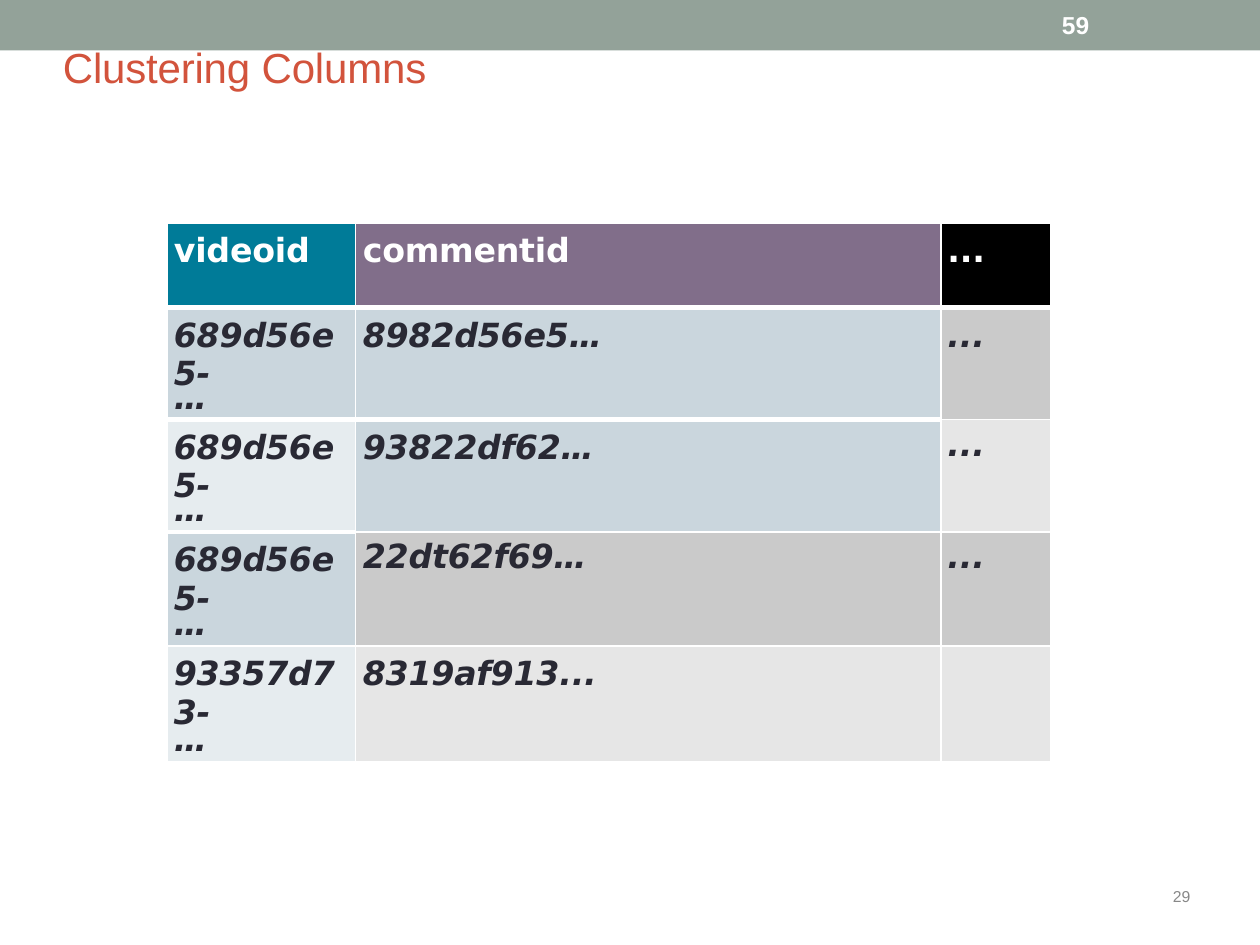
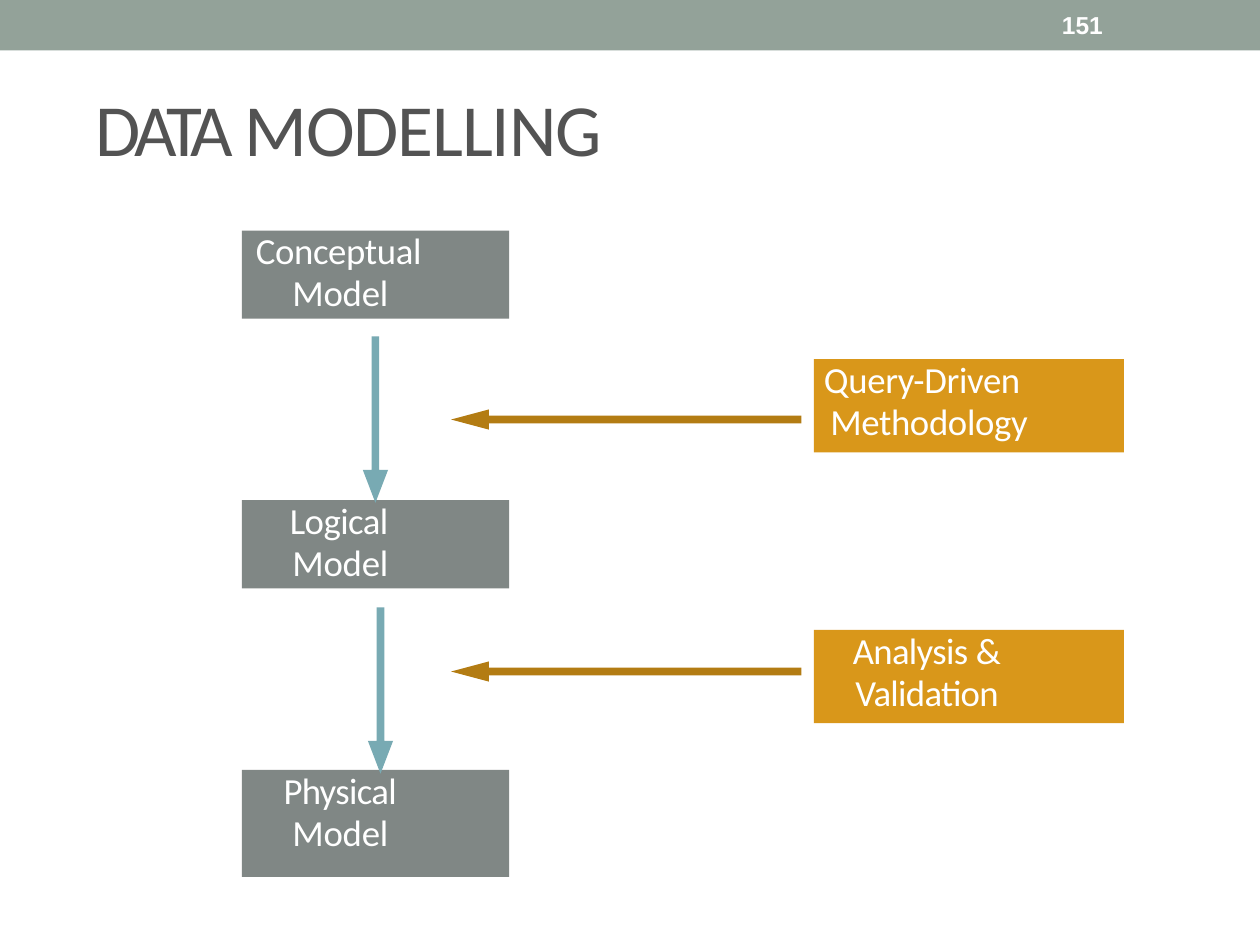
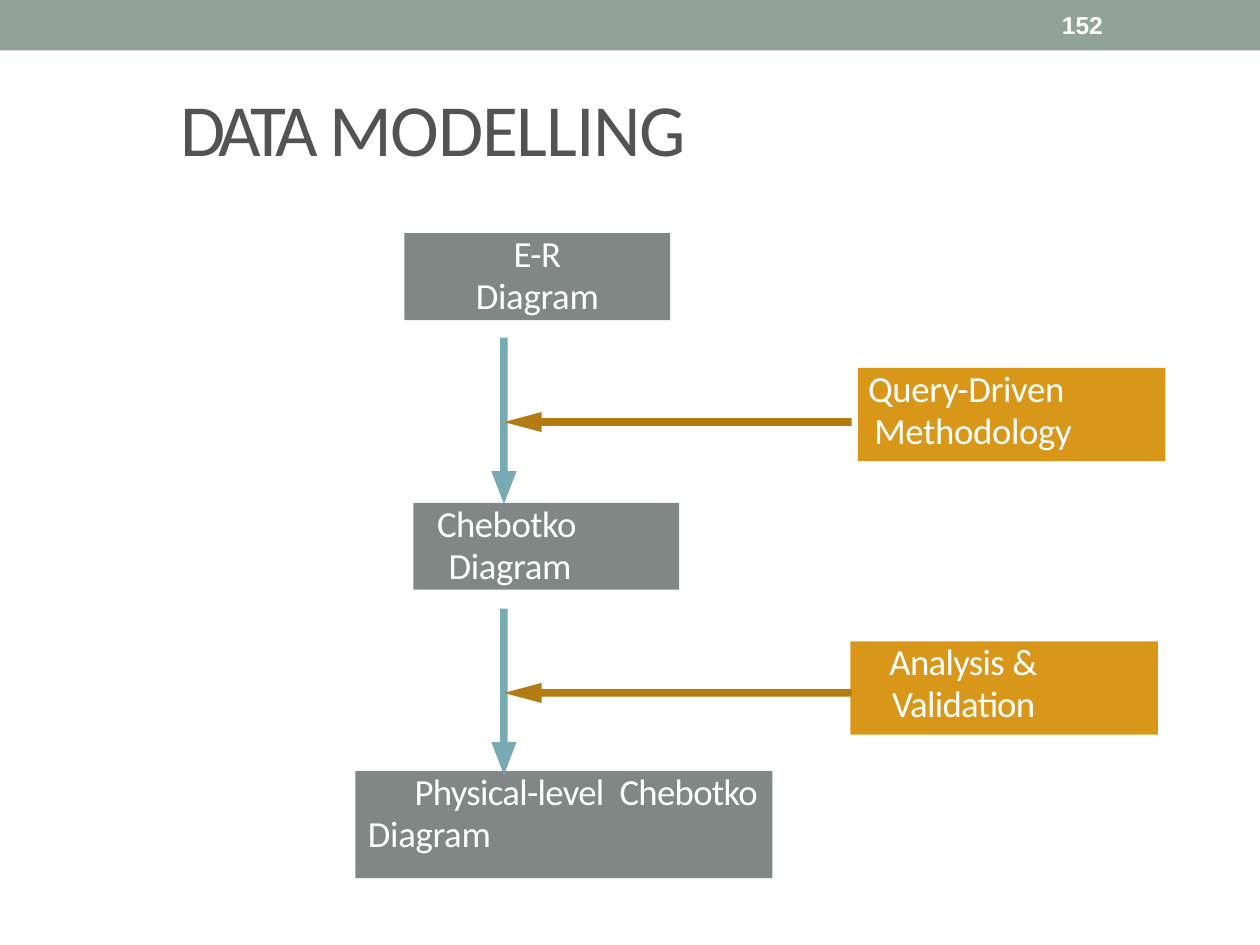
from lxml import etree
from pptx import Presentation
from pptx.dml.color import RGBColor
from pptx.enum.shapes import MSO_SHAPE
from pptx.enum.text import MSO_ANCHOR, PP_ALIGN
from pptx.oxml.ns import qn
from pptx.util import Inches, Pt

RECTANGLE = MSO_SHAPE.RECTANGLE
TOP, MIDDLE = MSO_ANCHOR.TOP, MSO_ANCHOR.MIDDLE
LEFT, CENTER = PP_ALIGN.LEFT, PP_ALIGN.CENTER

WHITE = "FFFFFF"
BAND = "93A299"
TITLE_RED = "D2533C"
TITLE_GREY = "535353"
PAGE_GREY = "888888"
MODEL_GREY = "808785"
METHOD_ORANGE = "D9971A"
FLOW_BLUE = "78AAB3"
METHOD_BROWN = "B37C13"
CELL_INK = "292934"

COLUMN_WIDTHS = [1.49, 4.65, 0.87]
ROW_HEIGHTS = [0.67, 0.65, 0.65, 0.67, 0.69]
ELLIPSIS_PITCH = [None, 13.5, 13.5, 14.5, 15.5]
CELL_TEXTS = [
    ["videoid", "commentid", "..."],
    ["689d56e5-", "8982d56e5…", "..."],
    ["689d56e5-", "93822df62…", "..."],
    ["689d56e5-", "22dt62f69…", "..."],
    ["93357d73-", "8319af913...", ""],
]
CELL_FILLS = [
    ["007B98", "816E8A", "000000"],
    ["CAD6DD", "CAD6DD", "CACACA"],
    ["E6ECEF", "CAD6DD", "E6E6E6"],
    ["CAD6DD", "CACACA", "CACACA"],
    ["E6ECEF", "E6E6E6", "E6E6E6"],
]

DATA_MODELLING = [[("DATA ", -3), ("MODELLING", -0.7)]]
MODEL = [("Model", -0.1)]
DIAGRAM = [("Diagram", -0.2)]
QUERY_DRIVEN = [[("Query-Driven", -0.2)], [("Methodology", -0.2)]]
VALIDATION = [[("Analysis ", -0.4), ("&", -0.1)], [("Validation", -0.4)]]


def color(value):
    """Turn a hex string into a colour."""
    return RGBColor.from_string(value)


def paint(shape, fill):
    """Give a shape a plain fill without line or shadow."""
    shape.shadow.inherit = False
    shape.fill.solid()
    shape.fill.fore_color.rgb = color(fill)
    shape.line.fill.background()


def style(paragraph, font, size, ink, bold=False, italic=False):
    """Set the font of a whole paragraph."""
    paragraph.font.name = font
    paragraph.font.size = Pt(size)
    paragraph.font.color.rgb = color(ink)
    paragraph.font.bold = bold
    paragraph.font.italic = italic


def indent(paragraph, margin, first=0):
    """Set the left margin and first-line indent of a paragraph."""
    properties = paragraph._p.get_or_add_pPr()
    properties.set("marL", str(Inches(margin)))
    properties.set("indent", str(Inches(first)))


def write(paragraph, lines):
    """Write lines of (text, letter spacing) spans into a paragraph."""
    for number, line in enumerate(lines):
        if number:
            paragraph.add_line_break()
        for text, spacing in line:
            span = paragraph.add_run()
            span.text = text
            span._r.get_or_add_rPr().set("spc", str(round(spacing * 100)))


def prepare_frame(shape, anchor=TOP, inset=0):
    """Set up a wrapping text frame and return its first paragraph."""
    frame = shape.text_frame
    frame.word_wrap = True
    frame.vertical_anchor = anchor
    frame.margin_left = frame.margin_right = Inches(inset)
    frame.margin_top = frame.margin_bottom = Inches(inset / 2)
    return frame.paragraphs[0]


def add_text(page, place, lines, font, size, ink,
             bold=False, anchor=TOP, inset=0, before=0):
    """Add a text box with one paragraph."""
    box = page.shapes.add_textbox(*map(Inches, place))
    paragraph = prepare_frame(box, anchor, inset)
    paragraph.space_before = Pt(before)
    style(paragraph, font, size, ink, bold)
    write(paragraph, lines)


def add_page(deck, number):
    """Add a blank slide with the top band and its number."""
    page = deck.slides.add_slide(deck.slide_layouts[6])
    band = page.shapes.add_shape(RECTANGLE, 0, 0, deck.slide_width, Inches(0.4))
    paint(band, BAND)
    add_text(page, (8.33, 0.02, 1.17, 0.36), [[(number, 0)]], "Arial", 14,
             WHITE, bold=True, anchor=MIDDLE, inset=0.1)
    return page


def add_modelling_title(page, left):
    """Add the large title of a modelling slide."""
    add_text(page, (left, 0.66, 6, 0.71), DATA_MODELLING, "Calibri", 42,
             TITLE_GREY, before=1)


def add_label_box(page, place, fill, lines, margin=0, first=0, before=3, align=LEFT):
    """Add a filled rectangle with a two-line label."""
    box = page.shapes.add_shape(RECTANGLE, *map(Inches, place))
    paint(box, fill)
    paragraph = prepare_frame(box)
    paragraph.alignment = align
    paragraph.line_spacing = Pt(23.9)
    paragraph.space_before = Pt(before)
    indent(paragraph, margin, first)
    style(paragraph, "Calibri", 21, WHITE)
    write(paragraph, lines)


def add_method_boxes(page, width, query_place, validation_place):
    """Add the two orange boxes that steer the flow."""
    add_label_box(page, (*query_place, width, 0.74), METHOD_ORANGE,
                  QUERY_DRIVEN, 0.13, -0.05, 9)
    add_label_box(page, (*validation_place, width, 0.74), METHOD_ORANGE,
                  VALIDATION, 0.33, -0.02, 9)


def add_outline(page, points, fill):
    """Add a closed freeform through points given in inches."""
    start, *rest = [(Inches(x), Inches(y)) for x, y in points]
    builder = page.shapes.build_freeform(*start)
    builder.add_line_segments(rest, close=True)
    paint(builder.convert_to_shape(), fill)


def arrow_profile(length, head, half_head, half_shaft):
    """Return (along, across) points of an arrow, starting at its tip."""
    side = [(head, half_head), (head, half_shaft), (length, half_shaft)]
    return [(0, 0), *side, *[(along, -across) for along, across in reversed(side)]]


def add_down_arrow(page, x, y):
    """Add a flow arrow pointing down to (x, y)."""
    profile = arrow_profile(1.32, 0.26, 0.1, 0.03)
    add_outline(page, [(x + across, y - along) for along, across in profile], FLOW_BLUE)


def add_left_arrow(page, x, y, length):
    """Add a method arrow pointing left to (x, y)."""
    profile = arrow_profile(length, 0.3, 0.08, 0.03)
    add_outline(page, [(x + along, y + across) for along, across in profile], METHOD_BROWN)


def set_borders(cell, top, bottom):
    """Draw white borders round a cell, with widths in points."""
    properties = cell._tc.get_or_add_tcPr()
    sides = [("a:lnL", 1), ("a:lnR", 1), ("a:lnT", top), ("a:lnB", bottom)]
    for position, (tag, width) in enumerate(sides):
        line = etree.Element(qn(tag), w=str(Pt(width)))
        fill = etree.SubElement(line, qn("a:solidFill"))
        etree.SubElement(fill, qn("a:srgbClr"), val=WHITE)
        properties.insert(position, line)


def border_width(row, column):
    """Return the width of the border below a cell."""
    return 3 if 0 <= row and row + column < 3 else 1


def fill_cell(cell, row, column):
    """Write and format one cell of the clustering table."""
    top = border_width(row - 1, column)
    tight = row in (2, 3) and top == 1
    cell.fill.solid()
    cell.fill.fore_color.rgb = color(CELL_FILLS[row][column])
    set_borders(cell, top, border_width(row, column))
    cell.margin_left = cell.margin_right = cell.margin_bottom = 0
    cell.margin_top = Inches(0.05 if tight else 0.07)
    text = CELL_TEXTS[row][column]
    if not text:
        return
    paragraphs = [cell.text_frame.paragraphs[0]]
    paragraphs[0].space_before = Pt(2.6 if tight else 3.6)
    write(paragraphs[0], [[(text, -0.1)]])
    if row and column == 0:
        ellipsis = cell.text_frame.add_paragraph()
        ellipsis.line_spacing = Pt(ELLIPSIS_PITCH[row])
        write(ellipsis, [[("…", 0)]])
        paragraphs.append(ellipsis)
    for paragraph in paragraphs:
        indent(paragraph, 0.06 if column == 1 else 0.05)
        style(paragraph, "DejaVu Sans", 19, CELL_INK if row else WHITE, True, row > 0)


def add_clustering_table(page):
    """Add the table of video and comment ids."""
    place = (1.33, 1.77, sum(COLUMN_WIDTHS), sum(ROW_HEIGHTS))
    table = page.shapes.add_table(len(ROW_HEIGHTS), len(COLUMN_WIDTHS),
                                  *map(Inches, place)).table
    table.first_row = table.horz_banding = False
    for column, width in zip(table.columns, COLUMN_WIDTHS):
        column.width = Inches(width)
    for row, height in enumerate(ROW_HEIGHTS):
        table.rows[row].height = Inches(height)
        for column in range(len(COLUMN_WIDTHS)):
            fill_cell(table.cell(row, column), row, column)


def add_clustering_slide(deck):
    """Build the slide on clustering columns."""
    page = add_page(deck, "59")
    add_text(page, (0.5, 0.32, 2.94, 0.42), [[("Clustering Columns", -0.1)]],
             "Arial", 24, TITLE_RED, anchor=MIDDLE, before=1)
    add_text(page, (9.31, 7.04, 0.17, 0.15), [[("29", 0)]], "Arial", 9, PAGE_GREY)
    add_clustering_table(page)


def add_models_slide(deck):
    """Build the slide on the three model levels."""
    page = add_page(deck, "151")
    add_modelling_title(page, 0.76)
    models = [
        ("Conceptual", -0.2, 1.83, 0.7, -0.29),
        ("Logical", -0.3, 3.97, 0.7, -0.02),
        ("Physical", -0.4, 6.11, 0.85, -0.07),
    ]
    for name, spacing, top, height, first in models:
        add_label_box(page, (1.92, top, 2.12, height), MODEL_GREY,
                      [[(name, spacing)], MODEL], 0.4, first)
    add_down_arrow(page, 2.98, 3.99)
    add_down_arrow(page, 3.02, 6.14)
    add_method_boxes(page, 2.46, (6.46, 2.85), (6.46, 5))
    for y in (3.33, 5.33):
        add_left_arrow(page, 3.58, y, 2.78)


def add_diagrams_slide(deck):
    """Build the slide on the three diagrams."""
    page = add_page(deck, "152")
    add_modelling_title(page, 1.43)
    add_label_box(page, (3.21, 1.85, 2.11, 0.69), MODEL_GREY,
                  [[("E-R", -0.3)], DIAGRAM], before=0, align=CENTER)
    add_label_box(page, (3.28, 3.99, 2.11, 0.69), MODEL_GREY,
                  [[("Chebotko", -0.3)], DIAGRAM], 0.28, -0.09)
    physical = [("Physical-level", -0.4), (" ", 4), ("Chebotko", -0.4)]
    add_label_box(page, (2.82, 6.12, 3.31, 0.85), MODEL_GREY,
                  [physical, DIAGRAM], 0.1, 0.37)
    for y in (4, 6.15):
        add_down_arrow(page, 4, y)
    add_method_boxes(page, 2.44, (6.81, 2.92), (6.75, 5.09))
    for y in (3.35, 5.5):
        add_left_arrow(page, 4, y, 2.76)


def main():
    """Build the deck and save it."""
    deck = Presentation()
    deck.slide_width, deck.slide_height = Inches(10), Inches(7.5)
    add_clustering_slide(deck)
    add_models_slide(deck)
    add_diagrams_slide(deck)
    deck.save("out.pptx")


if __name__ == "__main__":
    main()
